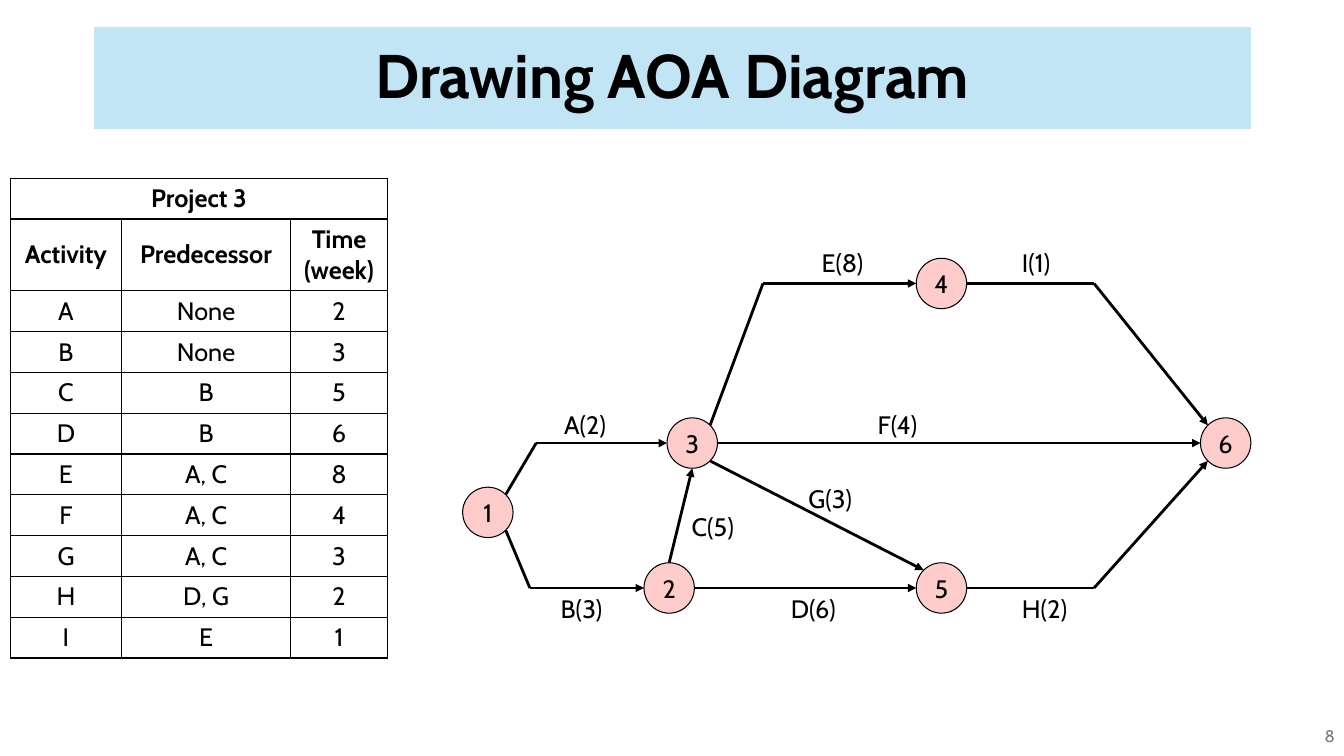
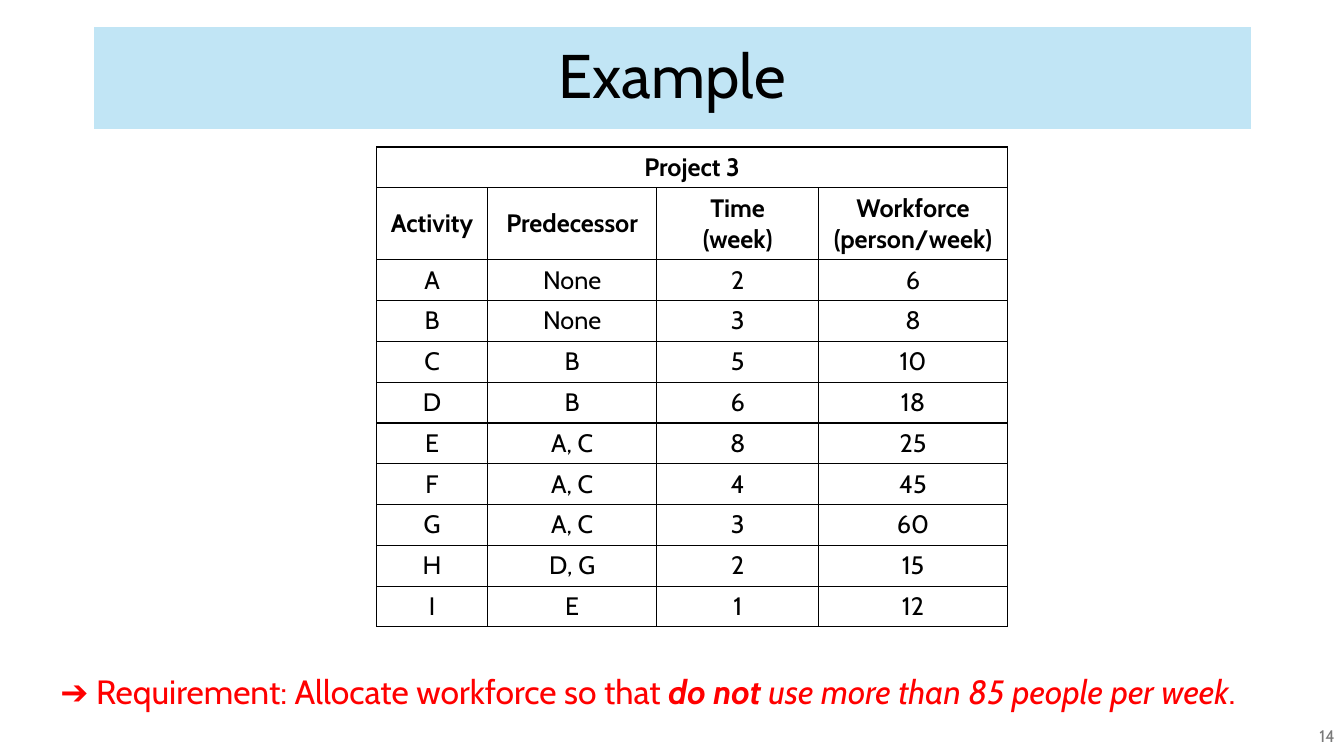
import math

from lxml import etree
from pptx import Presentation
from pptx import util as u
from pptx.dml.color import RGBColor
from pptx.enum import shapes, text
from pptx.oxml import ns

# Shared look
FONT = "Cabin"
BLACK = RGBColor(0x00, 0x00, 0x00)
WHITE = RGBColor(0xFF, 0xFF, 0xFF)
BAND_BLUE = RGBColor(0xC1, 0xE5, 0xF5)
NODE_PINK = RGBColor(0xFF, 0xCC, 0xCC)
NUMBER_GREY = RGBColor(0x79, 0x79, 0x79)
ALERT_RED = RGBColor(0xFF, 0x00, 0x00)

CENTER, LEFT, RIGHT = text.PP_ALIGN.CENTER, text.PP_ALIGN.LEFT, text.PP_ALIGN.RIGHT
BAND_BOX = (66.25, 18.75, 828, 74)
NUMBER_BOX = (928.5, 511, 32, 29)
ROW_HEIGHT, HEADER_HEIGHT = 29.15, 51.4

# Project data
PROJECT = "Project 3"
ACTIVITIES = [
    ("A", "None", 2, 6),
    ("B", "None", 3, 8),
    ("C", "B", 5, 10),
    ("D", "B", 6, 18),
    ("E", "A, C", 8, 25),
    ("F", "A, C", 4, 45),
    ("G", "A, C", 3, 60),
    ("H", "D, G", 2, 15),
    ("I", "E", 1, 12),
]
SCHEDULE_COLUMNS = [("Activity", 79.2), ("Predecessor", 121), ("Time (week)", 69)]
WORKFORCE_COLUMNS = [("Activity", 79.2), ("Predecessor", 121),
                     ("Time\n(week)", 115.5), ("Workforce\n(person/week)", 135)]
REQUIREMENT = [
    ("➔ Requirement: Allocate workforce so that ", {}),
    ("do not ", {"bold": True, "italic": True}),
    ("use more than 85 people per week", {"italic": True}),
    (".", {}),
]

# Network: node centres, then activities leaving and reaching nodes at compass points
TOP, MIDDLE, BOTTOM = 202.5, 316.5, 420
RADIUS = 18
NODES = {1: (348.5, 366), 2: (478, BOTTOM), 3: (494.5, MIDDLE),
         4: (672.5, TOP), 5: (672.5, BOTTOM), 6: (875.5, MIDDLE)}
COMPASS = {name: math.radians(45 * step) for step, name in
           enumerate(("E", "SE", "S", "SW", "W", "NW", "N", "NE"))}
# (label, label position, start, bends, end)
EDGES = [
    ("A(2)", (403, 292.5), (1, "NE"), [(383, MIDDLE)], (3, "W")),
    ("B(3)", (400.5, 423.5), (1, "SE"), [(378.5, BOTTOM)], (2, "W")),
    ("C(5)", (494, 365), (2, "N"), [], (3, "S")),
    ("D(6)", (565, 423.5), (2, "E"), [], (5, "W")),
    ("E(8)", (587, 176.5), (3, "NE"), [(545, TOP)], (4, "W")),
    ("F(4)", (627, 292.5), (3, "E"), [], (6, "W")),
    ("G(3)", (577.5, 345), (3, "SE"), [], (5, "NW")),
    ("H(2)", (730, 423.5), (5, "E"), [(781.5, BOTTOM)], (6, "SW")),
    ("I(1)", (730, 176.5), (4, "E"), [(781.5, TOP)], (6, "NW")),
]


def points(*values):
    return [u.Pt(value) for value in values]


def write(frame, runs, size, color=BLACK, align=LEFT, bold=False, spacing=None,
          anchor=text.MSO_ANCHOR.MIDDLE):
    """Fill a text frame; runs is a string or a list of (words, font changes)."""
    if isinstance(runs, str):
        lines = [[(line, {})] for line in runs.split("\n")]
    else:
        lines = [runs]
    frame.word_wrap = True
    frame.vertical_anchor = anchor
    for index, line in enumerate(lines):
        paragraph = frame.add_paragraph() if index else frame.paragraphs[0]
        paragraph.alignment = align
        paragraph.line_spacing = spacing
        for words, changes in line:
            run = paragraph.add_run()
            run.text = words
            run.font.color.rgb = color
            font_format = {"name": FONT, "size": u.Pt(size), "bold": bold} | changes
            for name, value in font_format.items():
                setattr(run.font, name, value)


def clear_margins(frame):
    for side in ("left", "right", "top", "bottom"):
        setattr(frame, f"margin_{side}", 0)


def add_filled(slide, kind, box, fill, line, width):
    shape = slide.shapes.add_shape(kind, *points(*box))
    shape.shadow.inherit = False
    shape.fill.solid()
    shape.fill.fore_color.rgb = fill
    shape.line.color.rgb = line
    shape.line.width = u.Pt(width)
    return shape


def add_text(slide, box, runs, size, margins=True, **style):
    shape = slide.shapes.add_textbox(*points(*box))
    if not margins:
        clear_margins(shape.text_frame)
    write(shape.text_frame, runs, size, **style)


def add_slide(presentation, title, number, bold):
    """Blank slide with the title band and the slide number."""
    slide = presentation.slides.add_slide(presentation.slide_layouts[6])
    band = add_filled(slide, shapes.MSO_SHAPE.RECTANGLE, BAND_BOX, BAND_BLUE, WHITE, 1.5)
    write(band.text_frame, title, 44, align=CENTER, bold=bold, spacing=0.9)
    add_text(slide, NUMBER_BOX, str(number), 12, color=NUMBER_GREY, align=RIGHT)
    return slide


def add_borders(cell):
    properties = cell._tc.get_or_add_tcPr()
    for side in ("lnL", "lnR", "lnT", "lnB"):
        line = etree.SubElement(properties, ns.qn(f"a:{side}"), w=str(u.Pt(1)))
        fill = etree.SubElement(line, ns.qn("a:solidFill"))
        etree.SubElement(fill, ns.qn("a:srgbClr"), val=str(BLACK))


def add_project_table(slide, left, top, columns):
    count = len(columns)
    rows = [[PROJECT] + [""] * (count - 1), [name for name, _ in columns]]
    rows += [activity[:count] for activity in ACTIVITIES]
    heights = [ROW_HEIGHT, HEADER_HEIGHT] + [ROW_HEIGHT] * len(ACTIVITIES)
    width = sum(column_width for _, column_width in columns)
    frame = slide.shapes.add_table(len(rows), count, *points(left, top, width, sum(heights)))
    table = frame.table
    table.first_row = table.horz_banding = False
    for column, (_, column_width) in zip(table.columns, columns):
        column.width = u.Pt(column_width)
    for row, height in zip(table.rows, heights):
        row.height = u.Pt(height)
    table.cell(0, 0).merge(table.cell(0, count - 1))
    for row_index, row in enumerate(rows):
        for column_index, value in enumerate(row):
            cell = table.cell(row_index, column_index)
            add_borders(cell)
            cell.fill.background()
            cell.vertical_anchor = text.MSO_ANCHOR.MIDDLE
            if value != "":
                write(cell.text_frame, str(value), 18, align=CENTER, bold=row_index < 2)
                # The cell, not its text body, holds the anchor and wrap
                cell.vertical_anchor = text.MSO_ANCHOR.MIDDLE


def rim_point(node, direction):
    x, y = NODES[node]
    angle = COMPASS[direction]
    return x + RADIUS * math.cos(angle), y + RADIUS * math.sin(angle)


def add_line(slide, start, end, arrow):
    connector = slide.shapes.add_connector(
        shapes.MSO_CONNECTOR.STRAIGHT, *points(*start, *end))
    connector.line.color.rgb = BLACK
    connector.line.width = u.Pt(2)
    if arrow:
        etree.SubElement(connector.line._get_or_add_ln(), ns.qn("a:tailEnd"), type="triangle")
    etree.SubElement(connector._element.spPr, ns.qn("a:effectLst"))


def add_network(slide):
    for label, position, start, bends, end in EDGES:
        route = [rim_point(*start), *bends, rim_point(*end)]
        for leg in range(len(route) - 1):
            add_line(slide, route[leg], route[leg + 1], arrow=leg == len(route) - 2)
        add_text(slide, (*position, 45, 28), label, 18, margins=False,
                 anchor=text.MSO_ANCHOR.TOP)
    for number, (x, y) in NODES.items():
        box = (x - RADIUS, y - RADIUS, 2 * RADIUS, 2 * RADIUS)
        node = add_filled(slide, shapes.MSO_SHAPE.OVAL, box, NODE_PINK, BLACK, 0)
        clear_margins(node.text_frame)
        write(node.text_frame, str(number), 18, align=CENTER)


def main():
    presentation = Presentation()
    presentation.slide_width, presentation.slide_height = points(960, 540)

    # Activity table and network
    slide = add_slide(presentation, "Drawing AOA Diagram", 8, bold=True)
    add_project_table(slide, 7.5, 127.25, SCHEDULE_COLUMNS)
    add_network(slide)

    # Workforce table and requirement
    slide = add_slide(presentation, "Example", 14, bold=False)
    add_project_table(slide, 269, 105, WORKFORCE_COLUMNS)
    add_text(slide, (36, 475.5, 909, 36), REQUIREMENT, 24, color=ALERT_RED)

    presentation.save("out.pptx")


if __name__ == "__main__":
    main()
